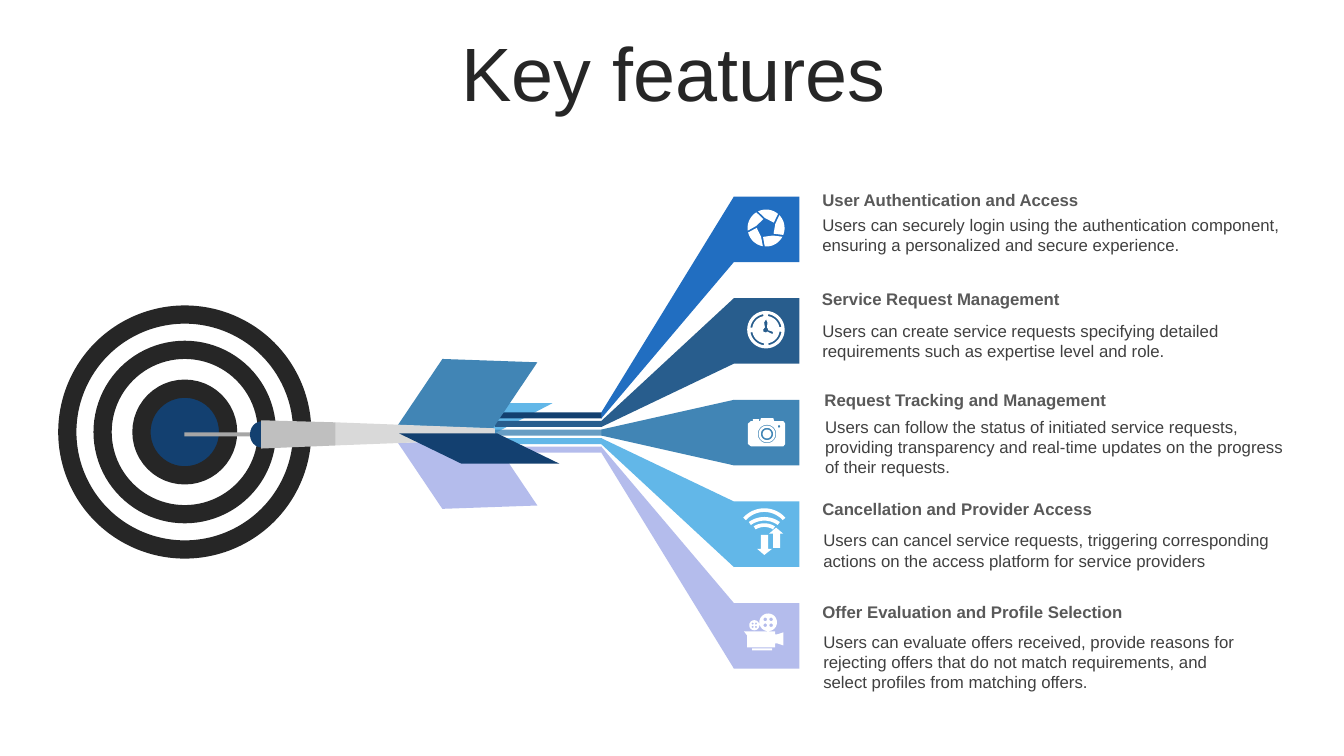
from math import cos, radians, sin

from lxml import etree
from pptx import Presentation
from pptx.dml.color import RGBColor
from pptx.enum.shapes import MSO_SHAPE
from pptx.enum.text import MSO_ANCHOR, PP_ALIGN
from pptx.oxml.ns import qn
from pptx.util import Pt

RECT, OVAL, CHORD, FIN = (MSO_SHAPE.RECTANGLE, MSO_SHAPE.OVAL,
                          MSO_SHAPE.CHORD, MSO_SHAPE.PARALLELOGRAM)
LEFT, CENTER = PP_ALIGN.LEFT, PP_ALIGN.CENTER
TOP, MIDDLE = MSO_ANCHOR.TOP, MSO_ANCHOR.MIDDLE

THEME = {
    "font": "Arial", "title size": 54, "text size": 12,
    "ink": "262626", "heading": "595959", "body": "404040", "white": "FFFFFF",
    "navy": "134070", "royal": "216EC1", "steel": "285D8D",
    "blue": "4185B5", "sky": "62B7E8", "lavender": "B4BCEC",
    "needle": "A6A6A6", "barrel": "BFBFBF", "shaft": "D9D9D9",
}

prs = Presentation()
prs.slide_width, prs.slide_height = Pt(960), Pt(540)
slide = prs.slides.add_slide(prs.slide_layouts[5])


def write(text, box, size="text size", colour="body", bold=False,
          align=LEFT, anchor=TOP, holder=None):
    """Set one paragraph in a placeholder or a new text box."""
    holder = holder or slide.shapes.add_textbox(0, 0, 0, 0)
    holder.left, holder.top, holder.width, holder.height = map(Pt, box)
    frame = holder.text_frame
    frame.word_wrap, frame.vertical_anchor = True, anchor
    paragraph = frame.paragraphs[0]
    paragraph.alignment = align
    run = paragraph.add_run()
    run.text = text
    run.font.name, run.font.size = THEME["font"], Pt(THEME[size])
    run.font.bold = bold
    run.font.color.rgb = RGBColor.from_string(THEME[colour])
    return paragraph


def draw(form, colour, box=None, rotation=0, flip=False, adjust=(),
         circles=(), origin=(0, 0)):
    """Draw a preset in a box, or a list of contours and circles round an origin."""
    if box:
        shape = slide.shapes.add_shape(form, *map(Pt, box))
        for index, value in enumerate(adjust):
            shape.adjustments[index] = value
        shape.rotation = rotation
        if flip:
            shape.element.spPr.xfrm.set("flipH", "1")
    else:
        rounds = [[(x + r * cos(radians(a)), y + r * sin(radians(a)))
                   for a in range(0, 360, 10)] for x, y, r in circles]
        builder = None
        for contour in form + rounds:
            points = [(Pt(origin[0] + x), Pt(origin[1] + y)) for x, y in contour]
            if builder:
                builder.move_to(*points[0])
            else:
                builder = slide.shapes.build_freeform(*points[0], scale=1.0)
            builder.add_line_segments(points[1:], close=True)
        shape = builder.convert_to_shape()
    shape.shadow.inherit = False
    shape.fill.solid()
    shape.fill.fore_color.rgb = RGBColor.from_string(THEME[colour])
    shape.line.fill.background()
    return shape


# Title
title = write("Key features", (25.2, 26.6, 911.5, 56.9), size="title size", colour="ink",
              align=CENTER, anchor=MIDDLE, holder=slide.shapes.title)
title.line_spacing, title.space_before = 0.9, Pt(10)

# Feature texts: heading with its left and top, body with its left, top and width
features = [
    ("User Authentication and Access", 580.3, 131.8,
     "Users can securely login using the authentication component, "
     "ensuring a personalized and secure experience.", 580.3, 149.8, 365),
    ("Service Request Management", 580, 203,
     "Users can create service requests specifying detailed "
     "requirements such as expertise level and role.", 580.3, 225.4, 356),
    ("Request Tracking and Management", 581.8, 275,
     "Users can follow the status of initiated service requests, providing transparency "
     "and real-time updates on the progress of their requests.", 582.3, 293.8, 352),
    ("Cancellation and Provider Access", 580.3, 352.8,
     "Users can cancel service requests, triggering corresponding "
     "actions on the access platform for service providers", 581, 375.1, 355),
    ("Offer Evaluation and Profile Selection", 580.3, 426.2,
     "Users can evaluate offers received, provide reasons for rejecting offers that do not "
     "match requirements, and select profiles from matching offers.", 581, 447.8, 320),
]
for heading, head_x, head_y, body, body_x, body_y, body_width in features:
    write(heading, (head_x, head_y, 350, 21.8), colour="heading", bold=True)
    write(body, (body_x, body_y, body_width, 36))

# Target rings
for diameter, colour in [(167.8, "white"), (117.4, "white"), (61.9, "navy")]:
    ring = draw(OVAL, colour, (132 - diameter / 2, 308.6 - diameter / 2, diameter, diameter))
    ring.line.color.rgb = RGBColor.from_string(THEME["ink"])
    ring.line.width = Pt(13)

# Tiles and the fin behind the stripes
BRANCHES = ["royal", "steel", "blue", "sky", "lavender"]
TILE_X, TILE_SIDE = 524.2, 46.8
tile_tops = [140.4 + 72.6 * row for row in range(5)]
for top, colour in zip(tile_tops, BRANCHES):
    draw(RECT, colour, (TILE_X, top, TILE_SIDE, TILE_SIDE))
draw(FIN, "sky", (284.4, 288, 110.2, 21.6), rotation=180, adjust=[1.922])

# Icons, as offsets from the middle of their tile
blades = [[(r * cos(radians(a + turn)) - 0.4, r * sin(radians(a + turn)) - 0.9)
           for r, a in [(13.2, a) for a in range(28, 95, 6)] + [(6.7, 109), (7.2, 48)]]
          for turn in range(0, 360, 72)]
clock_gaps = [[(r * cos(radians(a + turn)) - 0.5, r * sin(radians(a + turn)) - 0.9)
               for r, a in [(11.2, a) for a in range(8, 83, 6)]
               + [(9.8, a) for a in range(80, 7, -6)]]
              for turn in range(0, 360, 90)]
clock_hands = [(-0.4, -8.3), (-1.8, -6.1), (-1.2, -2.5), (-2.5, -1), (-2.2, 0.6), (-0.4, 1.1),
               (0.4, 0.4), (3.3, 1.9), (4.9, 2), (4.2, 0.5), (1.1, -0.5), (0.9, -1.6),
               (0.3, -2.5), (0.6, -6.1)]
camera_body = [(-4, -10.3), (4.8, -10.3), (5.5, -8.2), (12, -8.2), (13.3, -6.4), (13.3, 8.2),
               (12, 9.8), (-11.2, 9.8), (-13.3, 8.2), (-13.3, -6.4), (-11.2, -8.2),
               (-9.7, -8.2), (-9.7, -9.6), (-5.4, -9.6), (-5.4, -8.2), (-4.7, -8.2)]
camera_lens = [(0.3, 1, r) for r in (6.6, 6, 4.4, 3.1)]
waves = [[(r * sin(radians(a)) - 1.6, y - r * cos(radians(a)))
          for r, a in [(radius + 1.3, a) for a in range(-half, half + 1, 4)]
          + [(radius - 1.3, a) for a in range(half, -half - 1, -4)]]
         for y, radius, half in [(1.8, 19, 48), (6.6, 17.6, 36), (6.5, 13, 32)]]
arrow_down = [(-4, 0.4), (1.1, 0.4), (1.1, 10.4), (4, 10.4), (-1.6, 14.8), (-6.8, 10.4),
              (-4, 10.4)]
arrow_up = [(6.8, -4.7), (11.9, -0.4), (9.7, -0.4), (9.7, 9.7), (4.7, 9.7), (4.7, -0.4),
            (1.8, -0.4)]
film_body = [(6.1, -3.2), (6.1, -1.1), (7.6, -1.1), (11.9, -2.5), (11.9, 6.8), (7.6, 5.4),
             (6.1, 5.4), (6.1, 8.3), (-14, 8.3), (-14, -0.4), (-16.2, -3.2)]
film_base = [(-10.4, 9), (4, 9), (4, 10.4), (-10.4, 10.4)]
reels = [(1.1, -9.7, 6.3), (-8.8, -7.6, 3.6)]
reel_holes = [(x + dx * r / 3, y + dy * r / 3, r / 5)
              for x, y, r in reels for dx in (-1, 1) for dy in (-1, 1)]
icons = [
    (blades, []),
    (clock_gaps + [clock_hands], [(-0.5, -0.9, 13.4)]),
    ([camera_body], camera_lens + [(8.9, -4.4, 0.9)]),
    (waves + [arrow_down, arrow_up], []),
    ([film_body, film_base], reels + reel_holes),
]
for top, (contours, circles) in zip(tile_tops, icons):
    draw(contours, "white", circles=circles,
         origin=(TILE_X + TILE_SIDE / 2, top + TILE_SIDE / 2))

# Stripes behind the dart
STRIPE_END, STRIPE_HEIGHT = 429.5, 4.3
stripe_tops = [294.6 + 6.12 * row for row in range(5)]
for top, colour in zip(stripe_tops, ["navy"] + BRANCHES[1:]):
    stripe = draw(RECT, colour, (353.5, top, STRIPE_END + 0.5 - 353.5, STRIPE_HEIGHT))
    if colour == "blue":
        tint = stripe.element.spPr.find(".//" + qn("a:srgbClr"))
        etree.SubElement(tint, qn("a:alpha")).set("val", "80000")

# Dart
draw(RECT, "needle", (131.8, 308.9, 57.6, 2.9))
draw(FIN, "lavender", (285.1, 314.6, 97.9, 48.2), rotation=178, flip=True, adjust=[0.623])
draw(FIN, "blue", (285.1, 257, 97.9, 48.2), rotation=182, adjust=[0.623])
draw([[(239.8, 301.7), (353.5, 306), (353.5, 313.9), (239.8, 318.2)]], "shaft")
draw(CHORD, "navy", (178.6, 301, 16.6, 18.7), adjust=[53.912, 162])
draw([[(186.5, 300.2), (239.8, 301.7), (239.8, 318.2), (186.5, 320.4)]], "barrel")
draw(FIN, "navy", (285.1, 309.6, 114.5, 21.6), rotation=180, flip=True, adjust=[2.059])

# Branches from stripe ends to tiles
for start, top, colour in zip(stripe_tops, tile_tops, BRANCHES):
    draw([[(STRIPE_END, start), (TILE_X, top), (TILE_X, top + TILE_SIDE),
           (STRIPE_END, start + STRIPE_HEIGHT)]], colour)

prs.save("out.pptx")
